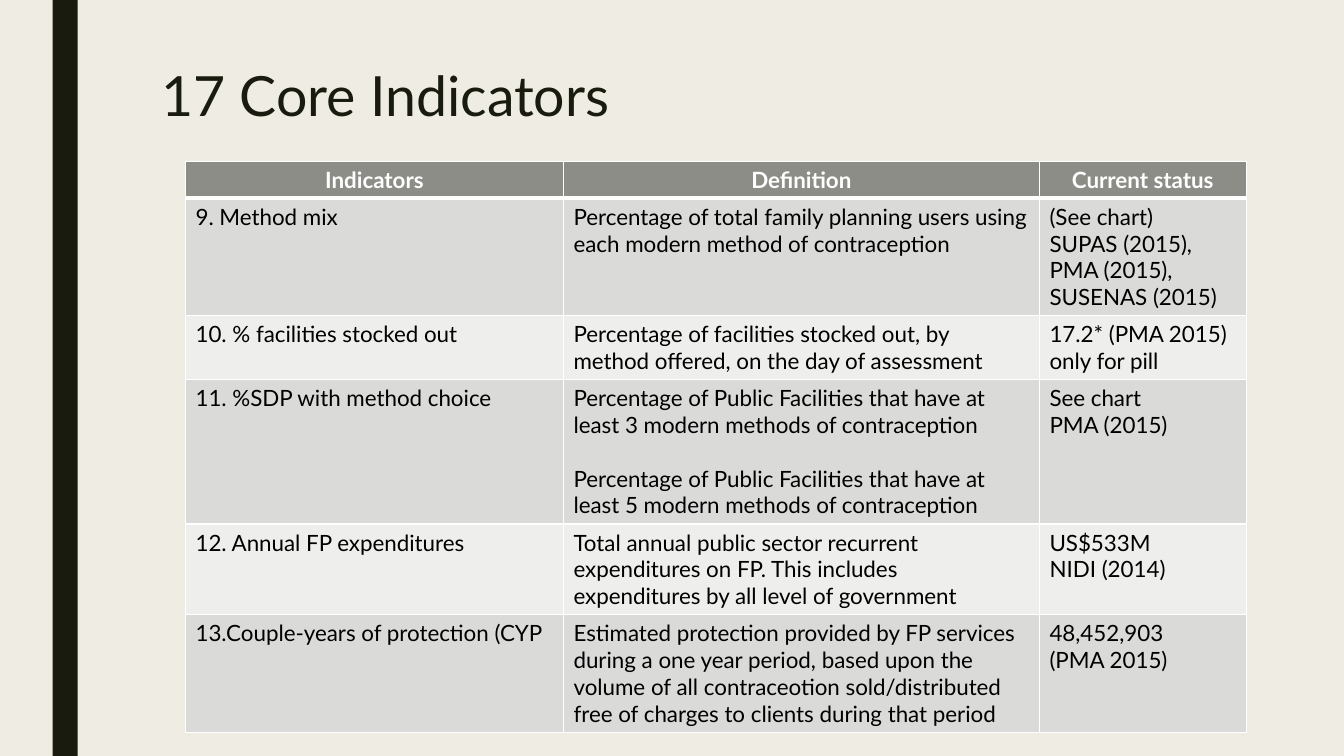
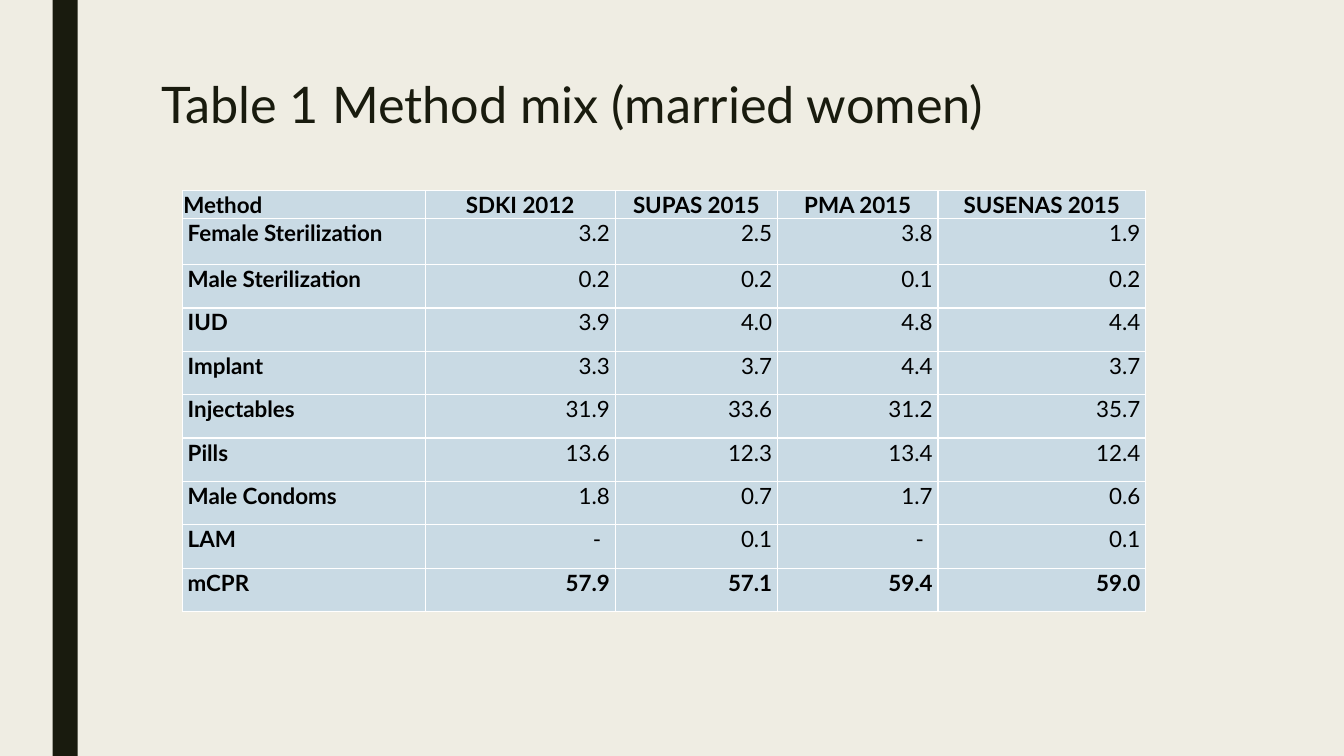
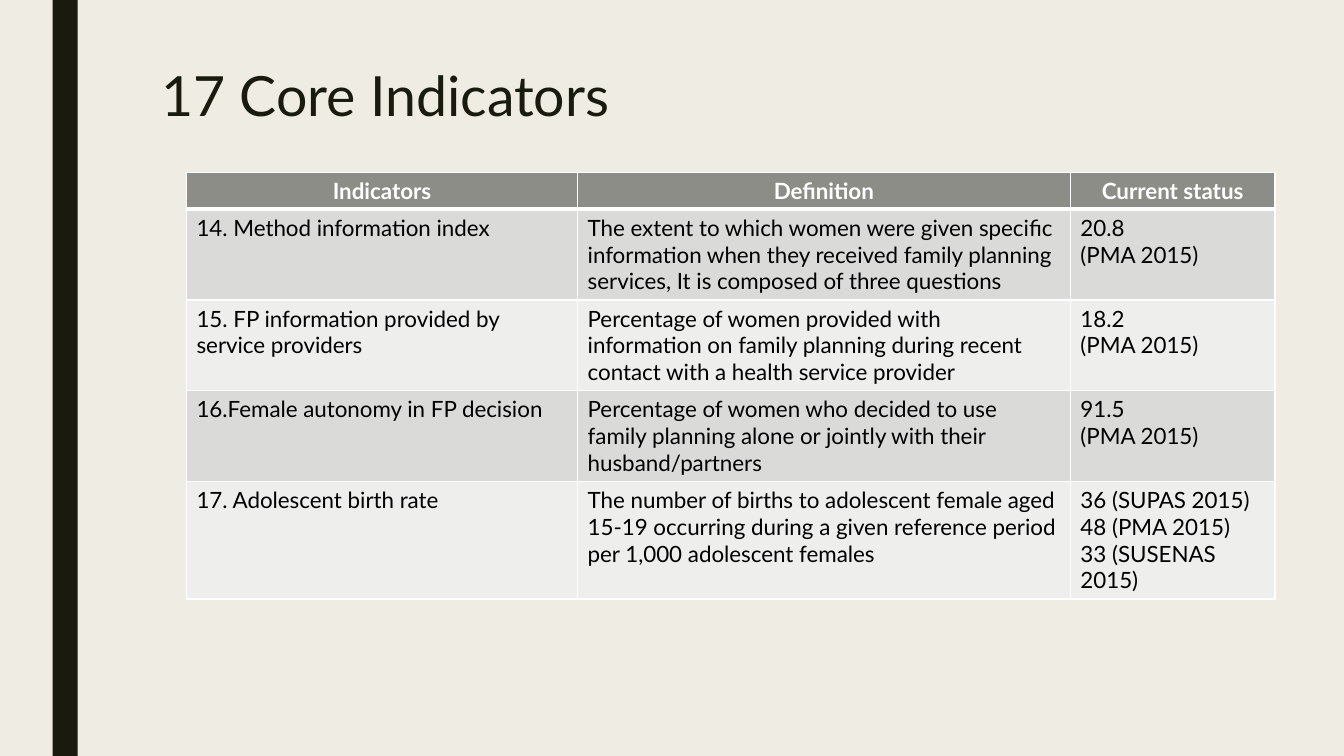
from lxml import etree
from pptx import Presentation
from pptx.dml.color import RGBColor
from pptx.enum import shapes, text
from pptx.oxml import ns
from pptx.util import Pt

CREAM = RGBColor(0xEF, 0xED, 0xE3)
DARK = RGBColor(0x19, 0x1B, 0x0E)
GREY = RGBColor(0x8C, 0x8D, 0x86)
BANDS = (RGBColor(0xEE, 0xEE, 0xED), RGBColor(0xDA, 0xDB, 0xD9))
BLUE = RGBColor(0xC9, 0xDA, 0xE4)
WHITE = RGBColor(0xFF, 0xFF, 0xFF)
BLACK = RGBColor(0, 0, 0)
FONT = "Lato"
LINE = 19.2

HEAD = ("Indicators", "Definition", "Current status")
FIRST = (
    HEAD,
    ("9. Method mix",
     "Percentage of total family planning users using each modern method of contraception",
     "(See chart)\nSUPAS (2015), PMA (2015), SUSENAS (2015)"),
    ("10. % facilities stocked out",
     "Percentage of facilities stocked out, by method offered, on the day of assessment",
     "17.2* (PMA 2015) only for pill"),
    ("11. %SDP with method choice",
     "Percentage of Public Facilities that have at least 3 modern methods of contraception\n"
     "Percentage of Public Facilities that have at least 5 modern methods of contraception",
     "See chart\nPMA (2015)"),
    ("12. Annual FP expenditures",
     "Total annual public sector recurrent expenditures on FP. "
     "This includes expenditures by all level of government",
     "US$533M\nNIDI (2014)"),
    ("13.Couple-years of protection (CYP",
     "Estimated protection provided by FP services during a one year period, based upon the "
     "volume of all contraceotion sold/distributed free of charges to clients during that period",
     "48,452,903\n(PMA 2015)"),
)
MIX = (
    ("Method", "SDKI 2012", "SUPAS 2015", "PMA 2015", "SUSENAS 2015"),
    ("Female Sterilization", "3.2", "2.5", "3.8", "1.9"),
    ("Male Sterilization", "0.2", "0.2", "0.1", "0.2"),
    ("IUD", "3.9", "4.0", "4.8", "4.4"),
    ("Implant", "3.3", "3.7", "4.4", "3.7"),
    ("Injectables", "31.9", "33.6", "31.2", "35.7"),
    ("Pills", "13.6", "12.3", "13.4", "12.4"),
    ("Male Condoms", "1.8", "0.7", "1.7", "0.6"),
    ("LAM", "-", "0.1", "-", "0.1"),
    ("mCPR", "57.9", "57.1", "59.4", "59.0"),
)
LAST = (
    HEAD,
    ("14. Method information index",
     "The extent to which women were given specific information when they received family "
     "planning services, It is composed of three questions",
     "20.8\n(PMA 2015)"),
    ("15. FP information provided by service providers",
     "Percentage of women provided with information on family planning during recent contact "
     "with a health service provider",
     "18.2\n(PMA 2015)"),
    ("16.Female autonomy in FP decision",
     "Percentage of women who decided to use family planning alone or jointly with their "
     "husband/partners",
     "91.5\n(PMA 2015)"),
    ("17. Adolescent birth rate",
     "The number of births to adolescent female aged 15-19 occurring during a given reference "
     "period per 1,000 adolescent females",
     "36 (SUPAS 2015)\n48 (PMA 2015)\n33 (SUSENAS 2015)"),
)


def edge(cell, sides):
    props = cell._tc.get_or_add_tcPr()
    for spot, (side, width) in enumerate(sides.items()):
        line = etree.Element(ns.qn("a:ln" + side), w=str(Pt(width)))
        fill = etree.SubElement(line, ns.qn("a:solidFill"))
        etree.SubElement(fill, ns.qn("a:srgbClr"), val=str(WHITE))
        props.insert(spot, line)


def build(name, size, top, high, left, start, cols, tall, data, plain):
    slide = deck.slides.add_slide(deck.slide_layouts[5])
    title = slide.shapes.title
    title.left, title.top, title.width, title.height = Pt(108), Pt(top), Pt(756), Pt(high)
    frame = title.text_frame
    frame.text = name
    frame.auto_size = text.MSO_AUTO_SIZE.NONE
    frame.vertical_anchor = text.MSO_ANCHOR.TOP
    para = frame.paragraphs[0]
    para.alignment = text.PP_ALIGN.LEFT
    para.line_spacing = 0.89
    para.font.name, para.font.size = FONT, Pt(size)
    para.font.color.rgb = DARK

    table = slide.shapes.add_table(len(data), len(cols), Pt(left), Pt(start),
                                   Pt(sum(cols)), Pt(sum(tall))).table
    table.horz_banding = False
    for col, width in zip(table.columns, cols):
        col.width = Pt(width)
    for r, (row, height) in enumerate(zip(data, tall)):
        table.rows[r].height = Pt(height)
        for c, words in enumerate(row):
            cell = table.cell(r, c)
            cell.text = words
            cell.fill.solid()
            cell.fill.fore_color.rgb = BLUE if plain else BANDS[r % 2] if r else GREY
            thick = 1 if plain else 3
            edge(cell, {"L": 1, "R": 1, "T": thick if r == 1 else 1,
                        "B": thick if r == 0 else 1})
            for para in cell.text_frame.paragraphs:
                para.font.name, para.font.size = FONT, Pt(16)
                para.font.bold = r == 0 or plain and (c == 0 or r == len(data) - 1)
                para.font.color.rgb = BLACK if r or plain else WHITE
                if r == 0 and not (plain and c == 0):
                    para.alignment = text.PP_ALIGN.CENTER
                elif plain and c:
                    para.alignment = text.PP_ALIGN.RIGHT
            if plain:
                cell.margin_top, cell.margin_bottom = Pt(0.7), Pt(0)
                cell.margin_left = Pt(3.8 if r and c == 0 else 0.7)
                cell.margin_right = Pt(10 if words == "-" else 3.8 if r and c else 0.7)
    return slide, table


deck = Presentation()
deck.slide_width, deck.slide_height = Pt(960), Pt(540)
deck.slide_master.background.fill.solid()
deck.slide_master.background.fill.fore_color.rgb = CREAM

tall = [LINE * n + 7.2 for n in (1, 4, 2, 5, 3, 4)]
slide, table = build("17 Core Indicators", 39.6, 46, 49, 132.5, 115.2,
                     (270, 340, 147.6), tall, FIRST, False)
table.cell(3, 1).text_frame.paragraphs[1].space_before = Pt(LINE)

band = slide.shapes.add_shape(shapes.MSO_SHAPE.RECTANGLE, Pt(37.5), Pt(0), Pt(18), Pt(540))
band.shadow.inherit = False
band.fill.solid()
band.fill.fore_color.rgb = DARK
band.line.fill.background()
band.element.nvSpPr.cNvPr.id = 20
deck.slide_master.shapes.element.insert(2, band.element)

build("Table 1 Method mix (married women)", 36, 54, 116.6, 130.3, 136,
      (173.5, 135.6, 116, 114.6, 148.4), [20, 33] + [31] * 8, MIX, True)

tall = [LINE * n + 7.2 for n in (1, 3, 3, 3, 4)]
build("17 Core Indicators", 39.6, 46, 49, 133.2, 123.1,
      (279.4, 352, 146.2), tall, LAST, False)

deck.save("out.pptx")
